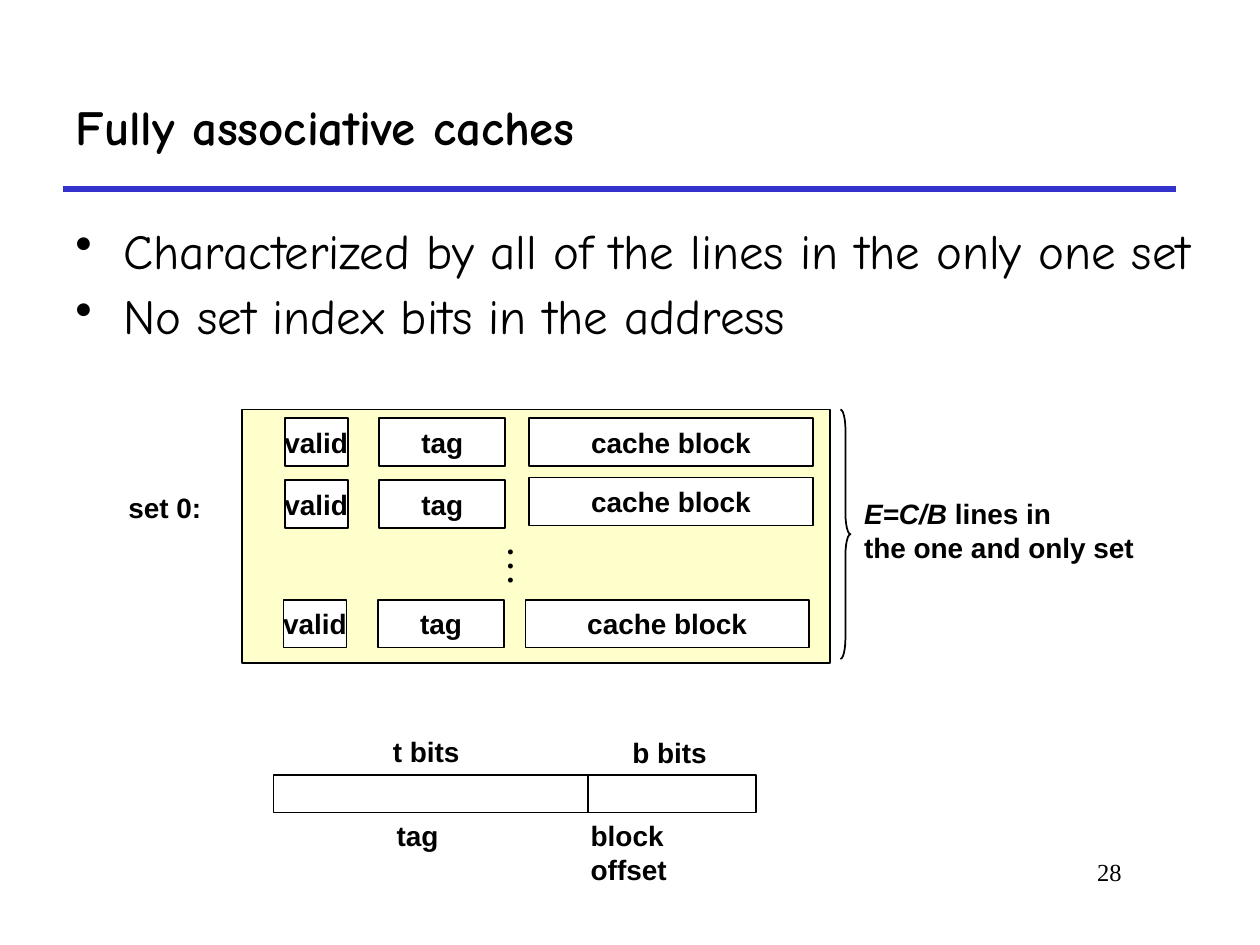
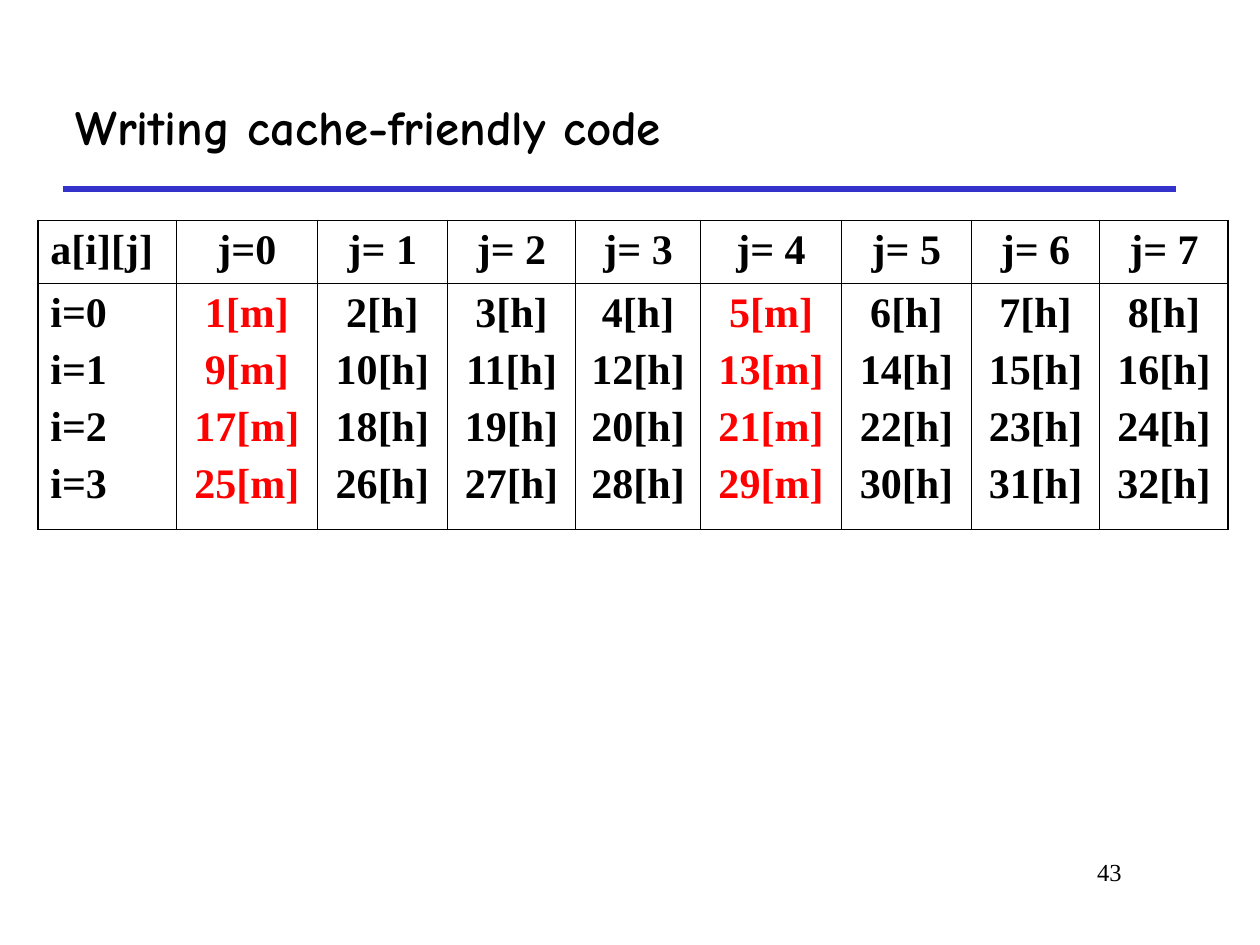
from lxml.etree import SubElement
from pptx import Presentation
from pptx.dml.color import RGBColor
from pptx.enum.shapes import MSO_CONNECTOR, MSO_SHAPE
from pptx.enum.text import MSO_ANCHOR, MSO_AUTO_SIZE, PP_ALIGN
from pptx.oxml.ns import qn
from pptx.util import Inches, Pt

BLACK = RGBColor(0x00, 0x00, 0x00)
WHITE = RGBColor(0xFF, 0xFF, 0xFF)
RULE_BLUE = RGBColor(0x33, 0x33, 0xCC)
SET_YELLOW = RGBColor(0xFF, 0xFF, 0x99)
MISS_RED = RGBColor(0xFF, 0x00, 0x00)

HEADING_FONT = "Comic Neue"
DIAGRAM_FONT = "Arial"
SERIF_FONT = "Times New Roman"

# Cache lines: left and top of the valid and tag boxes, then of the block
CACHE_LINES = (
    (2.26, 3.32, 4.2, 3.32),
    (2.26, 3.81, 4.2, 3.79),
    (2.25, 4.76, 4.17, 4.76),
)

# Access table: each cache block holds four array elements
COLUMN_WIDTHS = (1.1, 1.12, 1.03, 1.02, 0.99, 1.12, 1.03, 1.02, 1.02)
ROW_HEIGHTS = (0.5, 1.95)
ARRAY_ROWS, ARRAY_COLUMNS, BLOCK_ELEMENTS = 4, 8, 4
OUTER_BORDER, INNER_BORDER = Pt(1.08), Pt(0.45)


def inches(*lengths):
    return [Inches(length) for length in lengths]


def add_run(paragraph, text, font_name=DIAGRAM_FONT, size=16, bold=True,
            italic=False, color=BLACK):
    run = paragraph.add_run()
    run.text = text
    font = run.font
    font.name, font.size = font_name, Pt(size)
    font.bold, font.italic = bold, italic
    font.color.rgb = color


def add_text_box(slide, box, anchor=MSO_ANCHOR.TOP, wrap=False):
    frame = slide.shapes.add_textbox(*inches(*box)).text_frame
    frame.word_wrap = wrap
    frame.vertical_anchor = anchor
    return frame


def add_label(slide, text, box, anchor=MSO_ANCHOR.TOP):
    frame = add_text_box(slide, box, anchor)
    add_run(frame.paragraphs[0], text)


def add_box(slide, box, text="", fill=None, kind=MSO_SHAPE.RECTANGLE):
    shape = slide.shapes.add_shape(kind, *inches(*box))
    shape.shadow.inherit = False
    if fill is None:
        shape.fill.background()
    else:
        shape.fill.solid()
        shape.fill.fore_color.rgb = fill
    shape.line.color.rgb = BLACK
    shape.line.width = Pt(1)
    if text:
        frame = shape.text_frame
        frame.word_wrap = False
        frame.vertical_anchor = MSO_ANCHOR.MIDDLE
        frame.paragraphs[0].alignment = PP_ALIGN.CENTER
        add_run(frame.paragraphs[0], text)
    return shape


def add_titled_slide(presentation, title, number):
    slide = presentation.slides.add_slide(presentation.slide_layouts[5])

    # Rule under the title
    rule = slide.shapes.add_connector(
        MSO_CONNECTOR.STRAIGHT, *inches(0.5, 1.5, 9.33, 1.5))
    rule.line.color.rgb = RULE_BLUE
    rule.line.width = Pt(3)
    SubElement(rule.element.spPr, qn("a:effectLst"))

    # Title
    shape = slide.shapes.title
    shape.left, shape.top, shape.width, shape.height = inches(0.5, 0.5, 8.83, 1)
    frame = shape.text_frame
    frame.auto_size = MSO_AUTO_SIZE.NONE
    frame.vertical_anchor = MSO_ANCHOR.MIDDLE
    frame.paragraphs[0].alignment = PP_ALIGN.LEFT
    add_run(frame.paragraphs[0], title, HEADING_FONT, 28)

    # Slide number
    paragraph = add_text_box(slide, (7.58, 6.75, 1.42, 0.5), wrap=True).paragraphs[0]
    paragraph.alignment = PP_ALIGN.RIGHT
    add_run(paragraph, number, SERIF_FONT, 14, bold=False)
    return slide


def add_bullets(slide, texts, box):
    frame = add_text_box(slide, box, wrap=True)
    for index, text in enumerate(texts):
        paragraph = frame.add_paragraph() if index else frame.paragraphs[0]
        properties = paragraph._p.get_or_add_pPr()
        properties.set("marL", str(Inches(0.38)))
        properties.set("indent", str(-Inches(0.38)))
        SubElement(properties, qn("a:buChar")).set("char", "•")
        paragraph.line_spacing = 0.9
        if index:
            paragraph.space_before = Pt(7)
        add_run(paragraph, text, HEADING_FONT, 28, bold=False)


def add_cache_set(slide):
    # Half-transparent background of the set
    background = add_box(slide, (1.92, 3.25, 4.67, 2.01), fill=SET_YELLOW)
    color = background.element.spPr.find(qn("a:solidFill")).find(qn("a:srgbClr"))
    SubElement(color, qn("a:alpha")).set("val", "50000")
    add_label(slide, "set 0:", (0.92, 3.84, 0.78, 0.37), MSO_ANCHOR.MIDDLE)

    # Lines of the set
    for left, top, block_left, block_top in CACHE_LINES:
        add_box(slide, (left, top, 0.5, 0.38), "valid", WHITE)
        add_box(slide, (left + 0.75, top, 1, 0.38), "tag", WHITE)
        add_box(slide, (block_left, block_top, 2.25, 0.38), "cache block", WHITE)

    # Vertical ellipsis for the lines left out
    frame = add_text_box(slide, (3.82, 4.23, 0.6, 0.44))
    frame.margin_left = frame.margin_right = Inches(0.05)
    frame.margin_top = frame.margin_bottom = Inches(0.1)
    frame._txBody.bodyPr.set("vert", "eaVert")
    add_run(frame.paragraphs[0], "…", SERIF_FONT, 24, bold=False)

    # Brace and line count
    brace = add_box(slide, (6.67, 3.25, 0.08, 1.98), kind=MSO_SHAPE.RIGHT_BRACE)
    brace.adjustments[0] = 2.06
    frame = add_text_box(slide, (6.76, 3.89, 2.34, 0.64), MSO_ANCHOR.MIDDLE)
    add_run(frame.paragraphs[0], "E=C/B", italic=True)
    add_run(frame.paragraphs[0], " lines in")
    add_run(frame.add_paragraph(), "the one and only set")


def add_address(slide):
    add_box(slide, (2.17, 6.15, 2.5, 0.3))
    add_box(slide, (4.67, 6.15, 1.33, 0.3))
    add_label(slide, "t bits", (3.02, 5.78, 0.73, 0.36))
    add_label(slide, "b bits", (4.92, 5.79, 0.79, 0.36))
    add_label(slide, "tag", (3.05, 6.45, 0.53, 0.36))
    add_label(slide, "block offset", (4.59, 6.45, 1.44, 0.36))


def set_border(cell, side, width):
    line = SubElement(cell._tc.get_or_add_tcPr(), qn(f"a:ln{side}"), w=str(width))
    fill = SubElement(line, qn("a:solidFill"))
    SubElement(fill, qn("a:srgbClr"), val=str(BLACK))


def fill_cell(cell, texts, alignment, color):
    cell.fill.background()
    frame = cell.text_frame
    for index, text in enumerate(texts):
        paragraph = frame.add_paragraph() if index else frame.paragraphs[0]
        paragraph.alignment = alignment
        if index:
            paragraph.space_before = Pt(6)
        add_run(paragraph, text, SERIF_FONT, 24, color=color)


def add_access_table(slide):
    row_count, column_count = len(ROW_HEIGHTS), len(COLUMN_WIDTHS)
    table = slide.shapes.add_table(
        row_count, column_count,
        *inches(0.3, 1.75, sum(COLUMN_WIDTHS), sum(ROW_HEIGHTS))).table
    table.first_row = table.horz_banding = False
    for column, width in zip(table.columns, COLUMN_WIDTHS):
        column.width = Inches(width)
    for row, height in zip(table.rows, ROW_HEIGHTS):
        row.height = Inches(height)

    # Borders: thick outside, thin inside
    for row in range(row_count):
        for column in range(column_count):
            outer_sides = {"L": column == 0, "R": column == column_count - 1,
                           "T": row == 0, "B": row == row_count - 1}
            for side, is_outer in outer_sides.items():
                set_border(table.cell(row, column), side,
                           OUTER_BORDER if is_outer else INNER_BORDER)

    # Row names
    fill_cell(table.cell(0, 0), ["a[i][j]"], PP_ALIGN.LEFT, BLACK)
    fill_cell(table.cell(1, 0), [f"i={i}" for i in range(ARRAY_ROWS)],
              PP_ALIGN.LEFT, BLACK)

    # Access order, with a miss at the start of each block
    for j in range(ARRAY_COLUMNS):
        is_miss = j % BLOCK_ELEMENTS == 0
        outcome = "m" if is_miss else "h"
        accesses = [f"{i * ARRAY_COLUMNS + j + 1}[{outcome}]"
                    for i in range(ARRAY_ROWS)]
        heading = f"j= {j}" if j else "j=0"
        fill_cell(table.cell(0, j + 1), [heading], PP_ALIGN.CENTER, BLACK)
        fill_cell(table.cell(1, j + 1), accesses, PP_ALIGN.CENTER,
                  MISS_RED if is_miss else BLACK)


def main():
    presentation = Presentation()
    presentation.slide_width, presentation.slide_height = inches(10, 7.5)

    # Fully associative caches
    slide = add_titled_slide(presentation, "Fully associative caches", "28")
    add_bullets(slide, ("Characterized by all of the lines in the only one set",
                        "No set index bits in the address"),
                (0.5, 1.75, 9.08, 1.58))
    add_cache_set(slide)
    add_address(slide)

    # Cache-friendly code
    slide = add_titled_slide(presentation, "Writing cache-friendly code", "43")
    add_access_table(slide)

    presentation.save("out.pptx")


if __name__ == "__main__":
    main()
